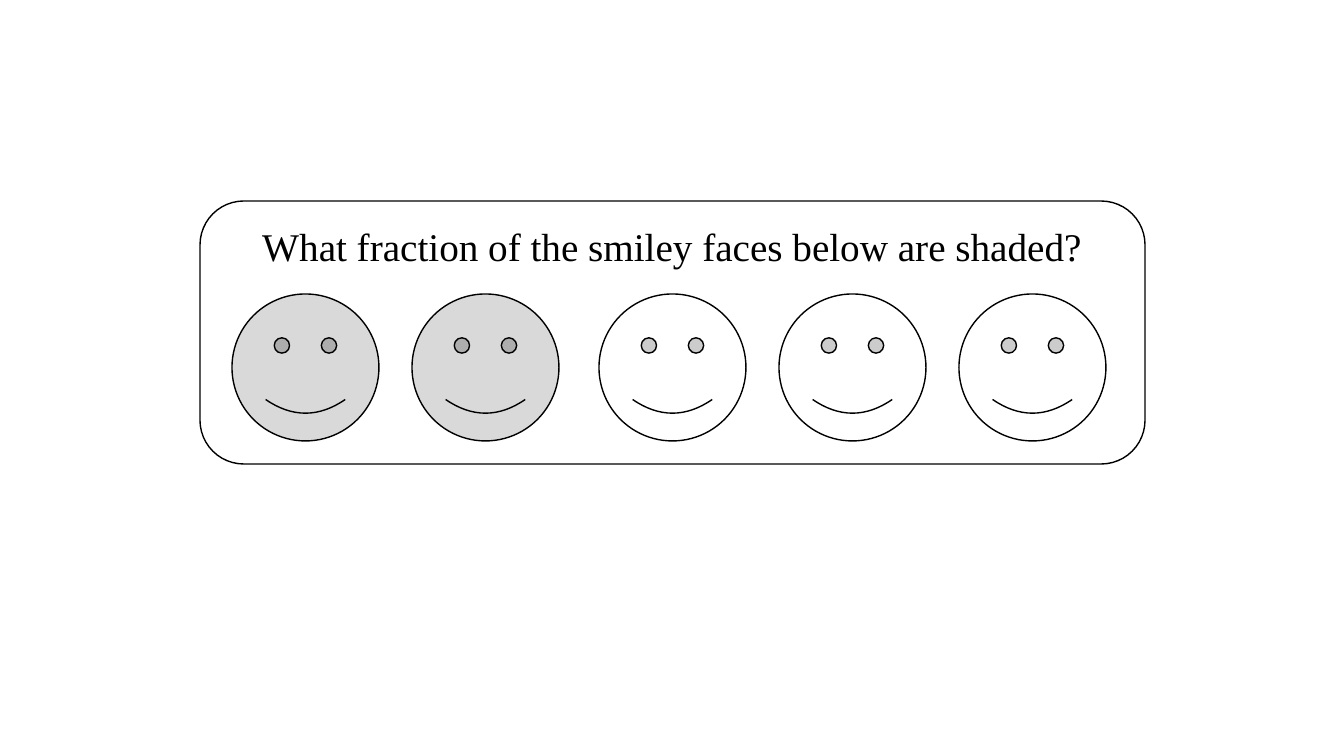
from pptx import Presentation
from pptx.dml.color import RGBColor
from pptx.enum.shapes import MSO_SHAPE as SHAPE
from pptx.enum.text import MSO_ANCHOR as ANCHOR, PP_ALIGN as ALIGN
from pptx.util import Emu, Pt

EMU_PER_PX = 12192000 / 1344
BLACK, WHITE, GREY = "000000", "FFFFFF", "D9D9D9"
FACE_TOP, FACE_SIZE, FACE_PITCH = 294, 147, 180
# Left edge, number of faces and fill of each group
FACE_GROUPS = [(232, 2, GREY), (599, 3, WHITE)]
TITLE_FONT = {"name": "Times New Roman", "size": Pt(28), "bold": False}


def px(n):
    return Emu(round(n * EMU_PER_PX))


def color(value):
    return RGBColor.from_string(value)


def add_outlined(s, kind, left, top, width, height, fill=None):
    sp = s.shapes.add_shape(kind, px(left), px(top), px(width), px(height))
    sp.shadow.inherit = False
    if fill:
        sp.fill.solid()
        sp.fill.fore_color.rgb = color(fill)
    else:
        sp.fill.background()
    sp.line.color.rgb = color(BLACK)
    sp.line.width = Pt(1)
    return sp


def set_title(s, text, left, top, width, height):
    sp = s.shapes.title
    sp.left, sp.top, sp.width, sp.height = map(px, (left, top, width, height))
    tf = sp.text_frame
    tf.word_wrap = True
    tf.vertical_anchor = ANCHOR.MIDDLE
    p = tf.paragraphs[0]
    p.alignment = ALIGN.CENTER
    r = p.add_run()
    r.text = text
    for name, value in TITLE_FONT.items():
        setattr(r.font, name, value)
    r.font.color.rgb = color(BLACK)


def add_faces(s, left, count, fill):
    for i in range(count):
        add_outlined(s, SHAPE.SMILEY_FACE, left + i * FACE_PITCH, FACE_TOP,
                     FACE_SIZE, FACE_SIZE, fill)


def main():
    prs = Presentation()
    prs.slide_width, prs.slide_height = px(1344), px(756)
    s = prs.slides.add_slide(prs.slide_layouts[5])

    # Shaded and unshaded faces
    for left, count, fill in FACE_GROUPS:
        add_faces(s, left, count, fill)

    # Question
    set_title(s, "What fraction of the smiley faces below are shaded?",
              183, 217, 978, 57)

    # Frame around the question and the faces
    add_outlined(s, SHAPE.ROUNDED_RECTANGLE, 200, 201, 945, 263)

    prs.save("out.pptx")


if __name__ == "__main__":
    main()
